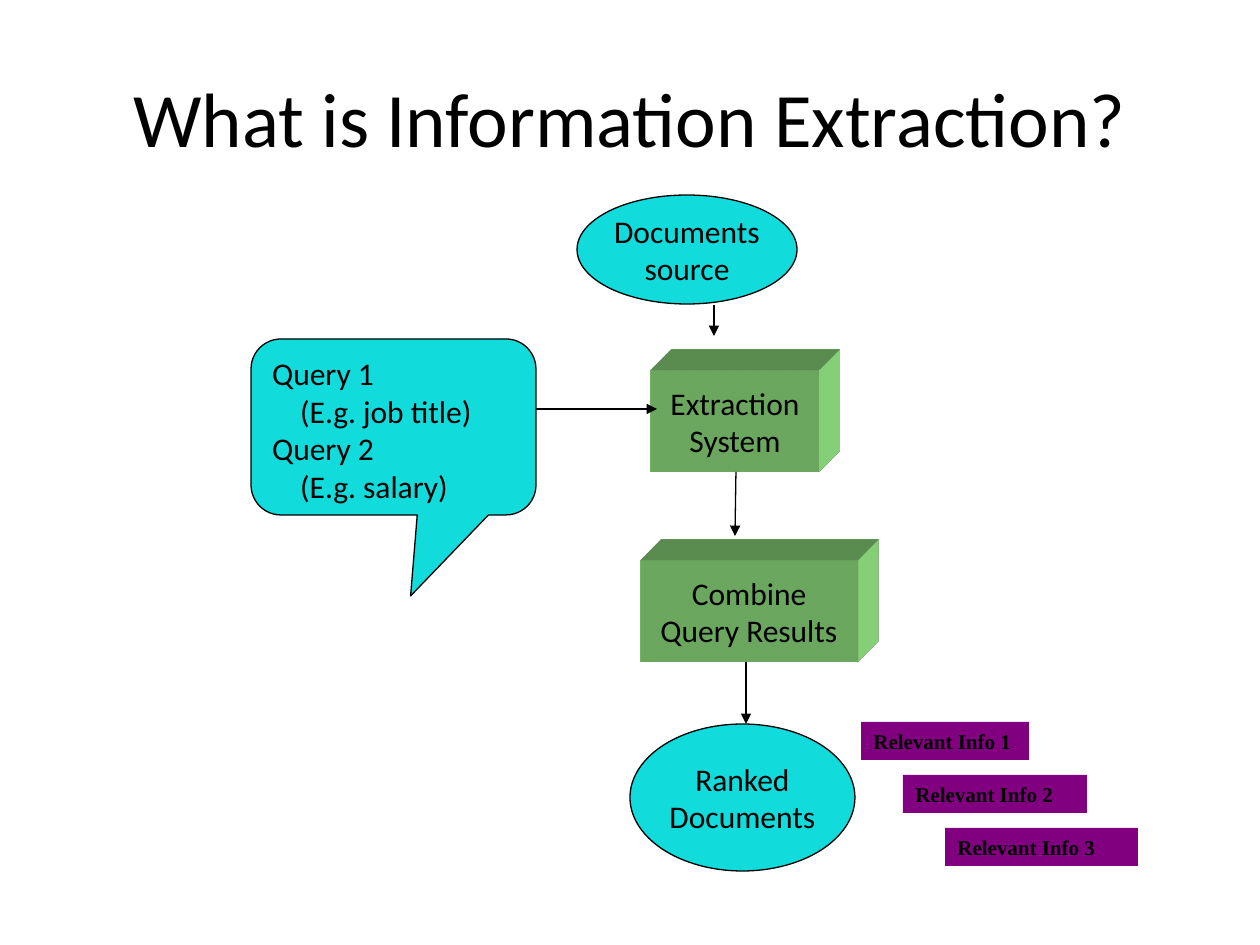
from lxml import etree
from pptx import Presentation
from pptx.dml.color import RGBColor
from pptx.enum import shapes, text
from pptx.oxml import parse_xml
from pptx.oxml.ns import nsdecls, qn
from pptx.util import Emu, Pt

EMU_PER_PX = 914400 / 126
BLACK = RGBColor(0x00, 0x00, 0x00)
CYAN = RGBColor(0x11, 0xDB, 0xDB)
GREEN = RGBColor(0x98, 0xED, 0x87)
PURPLE = RGBColor(0x80, 0x00, 0x80)

TITLE = "What is Information Extraction?"
TITLE_BOX = (63, 38, 1134, 157)
SOURCES = [
    (["Documents", "source"], (577, 195, 220, 109)),
    (["Ranked", "Documents"], (630, 724, 225, 147)),
]
PROCESSES = [
    (["Extraction", "System"], (651, 371, 168, 101)),
    (["Combine", "Query Results"], (640, 561, 218, 101)),
]
QUERIES = [("Query 1", "(E.g. job title)"), ("Query 2", "(E.g. salary)")]
QUERY_BOX = (251, 339, 285, 176)
QUERY_INDENT = 28
CALLOUT_ADJUSTMENTS = (0.06, 0.96, 0.17)
RESULTS = [("Relevant Info 1", 168), ("Relevant Info 2", 184), ("Relevant Info 3", 193)]
RESULT_START, RESULT_STEP, RESULT_HEIGHT = (861, 722), (42, 53), 38
ARROWS = [
    (714, 305, 714, 336),
    (525, 409, 657, 409),
    (736, 472, 735, 536),
    (746, 662, 746, 724),
]
BODY_FONT = {"name": "Calibri", "size": Pt(18), "bold": False}
RESULT_FONT = {"name": "Times New Roman", "size": Pt(12), "bold": True}


def px(*lengths):
    return [Emu(round(length * EMU_PER_PX)) for length in lengths]


def set_font(font, values):
    for name, value in values.items():
        setattr(font, name, value)
    font.color.rgb = BLACK


def add_box(slide, kind, box, lines, fill, outlined=False, font=BODY_FONT,
            align=text.PP_ALIGN.CENTER, anchor=text.MSO_ANCHOR.MIDDLE, wrap=False):
    shape = slide.shapes.add_shape(kind, *px(*box))
    shape.shadow.inherit = False
    shape.fill.solid()
    shape.fill.fore_color.rgb = fill
    if outlined:
        shape.line.color.rgb = BLACK
        shape.line.width = Pt(0.75)
    else:
        shape.line.fill.background()
    frame = shape.text_frame
    frame.word_wrap = wrap
    frame.vertical_anchor = anchor
    for index, line in enumerate(lines):
        paragraph = frame.paragraphs[0] if index == 0 else frame.add_paragraph()
        paragraph.text = line
        paragraph.alignment = align
        set_font(paragraph.font, font)
    return shape


def extrude(shape):
    """Give a flat shape depth towards the top right."""
    properties = shape._element.spPr
    properties.append(parse_xml(
        f'<a:scene3d {nsdecls("a")}><a:camera prst="legacyObliqueTopRight"/>'
        '<a:lightRig rig="legacyFlat3" dir="b"/></a:scene3d>'))
    properties.append(parse_xml(
        f'<a:sp3d {nsdecls("a")} extrusionH="430200" prstMaterial="legacyMatte">'
        '<a:bevelT w="13500" h="13500" prst="angle"/>'
        '<a:bevelB w="13500" h="13500" prst="angle"/>'
        f'<a:extrusionClr><a:srgbClr val="{GREEN}"/></a:extrusionClr></a:sp3d>'))


def add_arrow(slide, ends):
    arrow = slide.shapes.add_connector(shapes.MSO_CONNECTOR.STRAIGHT, *px(*ends))
    arrow.line.color.rgb = BLACK
    arrow.line.width = Pt(0.75)
    etree.SubElement(arrow.line._get_or_add_ln(), qn("a:tailEnd"), type="triangle")
    etree.SubElement(arrow._element.spPr, qn("a:effectLst"))


def add_queries(slide):
    lines = [line for query in QUERIES for line in query]
    callout = add_box(slide, shapes.MSO_SHAPE.ROUNDED_RECTANGULAR_CALLOUT, QUERY_BOX,
                      lines, CYAN, outlined=True, align=text.PP_ALIGN.LEFT,
                      anchor=text.MSO_ANCHOR.TOP, wrap=True)
    for index, value in enumerate(CALLOUT_ADJUSTMENTS):
        callout.adjustments[index] = value
    for example in callout.text_frame.paragraphs[1::2]:
        example._p.get_or_add_pPr().set("marL", str(px(QUERY_INDENT)[0]))


def add_results(slide):
    for index, (label, width) in enumerate(RESULTS):
        left, top = (start + index * step for start, step in zip(RESULT_START, RESULT_STEP))
        add_box(slide, shapes.MSO_SHAPE.RECTANGLE, (left, top, width, RESULT_HEIGHT),
                [label], PURPLE, font=RESULT_FONT, align=text.PP_ALIGN.LEFT,
                anchor=text.MSO_ANCHOR.TOP, wrap=True)


def main():
    presentation = Presentation()
    presentation.slide_width, presentation.slide_height = px(1260, 945)
    slide = presentation.slides.add_slide(presentation.slide_layouts[5])

    title = slide.shapes.title
    title.left, title.top, title.width, title.height = px(*TITLE_BOX)
    title.text_frame.text = TITLE
    title.text_frame.vertical_anchor = text.MSO_ANCHOR.MIDDLE
    paragraph = title.text_frame.paragraphs[0]
    paragraph.alignment = text.PP_ALIGN.CENTER
    set_font(paragraph.font, {"name": "Calibri", "size": Pt(44)})

    for lines, box in PROCESSES:
        extrude(add_box(slide, shapes.MSO_SHAPE.RECTANGLE, box, lines, GREEN))
    for lines, box in SOURCES:
        add_box(slide, shapes.MSO_SHAPE.OVAL, box, lines, CYAN, outlined=True)
    for ends in ARROWS:
        add_arrow(slide, ends)
    add_results(slide)
    add_queries(slide)
    presentation.save("out.pptx")


if __name__ == "__main__":
    main()
